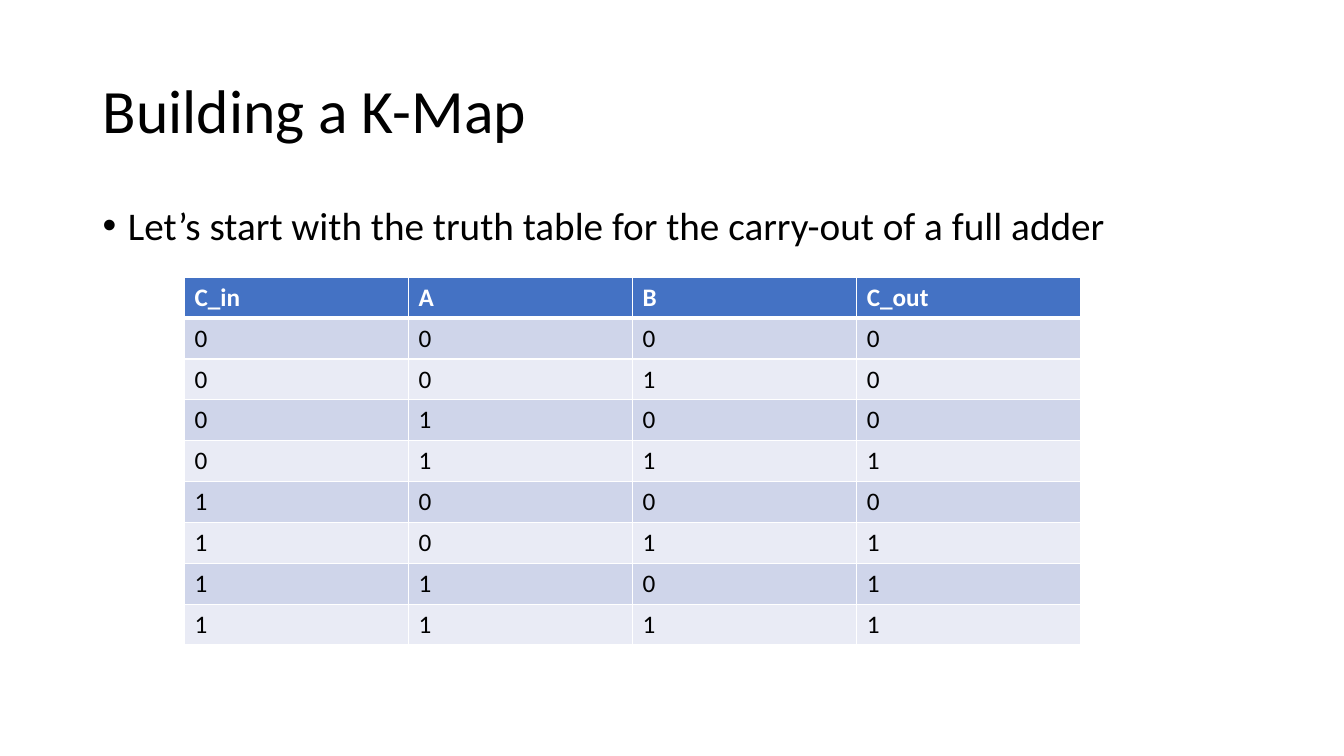
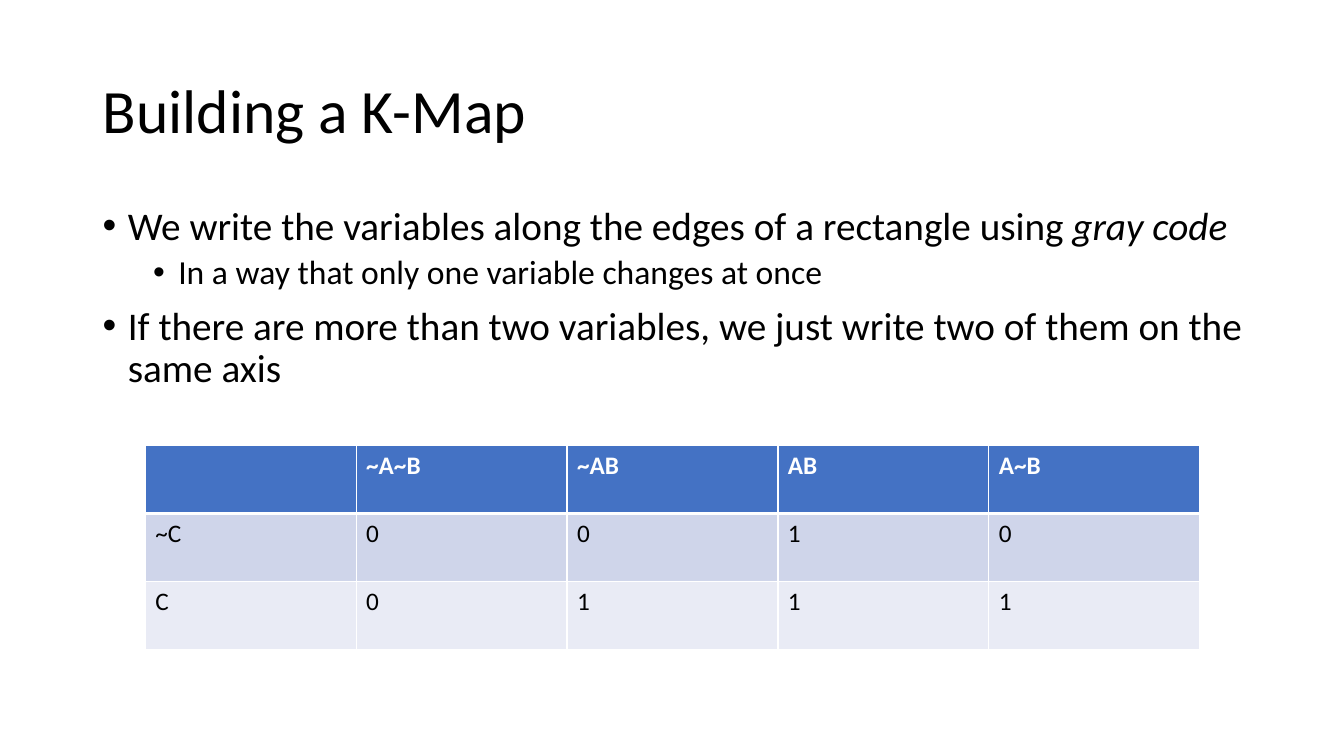
import pptx
import pptx.util
import pptx.oxml
import pptx.oxml.ns
import pptx.dml.color
import pptx.enum.text
from dataclasses import dataclass

# ---- Content ----
TITLE = "Building a K-Map"
SLIDES = [
    {
        # each bullet: level, then (text, italic) spans
        "bullets": [
            (0, [("Let’s start with the truth table for the carry-out of a full adder", False)]),
        ],
        "table": [
            ["C_in", "A", "B", "C_out"],
            *map(list, ["0000", "0010", "0100", "0111", "1000", "1011", "1101", "1111"]),
        ],
        "table_area": (1.83, 2.75, 8.89, 3.65),
    },
    {
        "bullets": [
            (0, [("We write the variables along the edges of a rectangle using ", False),
                 ("gray code", True)]),
            (1, [("In a way that only one variable changes at once", False)]),
            (0, [("If there are more than two variables, we just write two of them "
                  "on the same axis", False)]),
        ],
        "table": [
            ["", "~A~B", "~AB", "AB", "A~B"],
            ["~C", "0", "0", "1", "0"],
            ["C", "0", "1", "1", "1"],
        ],
        "table_area": (1.44, 4.42, 10.46, 2.02),
    },
]

# ---- Shared look and layout ----
SLIDE_SIZE = (13.33, 7.5)
TITLE_AREA = (0.92, 0.4, 11.5, 1.45)
BODY_AREA = (0.92, 2, 11.5, 4.76)


@dataclass(frozen=True)
class Theme:
    font: str = "Calibri"
    text: str = "000000"
    paper: str = "FFFFFF"
    header: str = "4472C4"
    bands: tuple = ("CFD5EA", "E9EBF5")
    title_size: int = 44
    bullet_sizes: tuple = (28, 24)
    bullet_gaps: tuple = (10, 5)
    bullet_indents: tuple = (0.25, 0.75)
    hanging: float = 0.25
    line_spacing: float = 0.9
    cell_size: int = 18
    thin: int = 1
    thick: int = 3


THEME = Theme()


def inches(lengths):
    return [pptx.util.Inches(length) for length in lengths]


def rgb(colour):
    return pptx.dml.color.RGBColor.from_string(colour)


def add_span(para, text, size, colour=THEME.text, **extra):
    span = para.add_run()
    span.text = text
    span.font.color.rgb = rgb(colour)
    formats = {"name": THEME.font, "size": pptx.util.Pt(size), **extra}
    for name, value in formats.items():
        setattr(span.font, name, value)


def add_text_box(page, area, anchor):
    frame = page.shapes.add_textbox(*inches(area)).text_frame
    frame.word_wrap = True
    frame.vertical_anchor = anchor
    return frame


def add_title(page):
    frame = add_text_box(page, TITLE_AREA, pptx.enum.text.MSO_ANCHOR.MIDDLE)
    para = frame.paragraphs[0]
    para.line_spacing = THEME.line_spacing
    add_span(para, TITLE, THEME.title_size)


def add_bullets(page, bullets):
    frame = add_text_box(page, BODY_AREA, pptx.enum.text.MSO_ANCHOR.TOP)
    for index, (level, spans) in enumerate(bullets):
        para = frame.add_paragraph() if index else frame.paragraphs[0]
        formats = {
            "level": level,
            "line_spacing": THEME.line_spacing,
            "space_before": pptx.util.Pt(THEME.bullet_gaps[level]),
        }
        for name, value in formats.items():
            setattr(para, name, value)
        for text, italic in spans:
            add_span(para, text, THEME.bullet_sizes[level], italic=italic)
        # Bullet character and hanging indent
        props = para._p.get_or_add_pPr()
        props.set("marL", str(pptx.util.Inches(THEME.bullet_indents[level])))
        props.set("indent", str(-pptx.util.Inches(THEME.hanging)))
        for tag, key, value in (("buFont", "typeface", "Arial"), ("buChar", "char", "•")):
            props.append(pptx.oxml.parse_xml(
                f'<a:{tag} {pptx.oxml.ns.nsdecls("a")} {key}="{value}"/>'))


def add_borders(cell, row):
    widths = {
        "lnL": THEME.thin,
        "lnR": THEME.thin,
        "lnT": THEME.thick if row == 1 else THEME.thin,
        "lnB": THEME.thick if row == 0 else THEME.thin,
    }
    props = cell._tc.get_or_add_tcPr()
    for tag, width in widths.items():
        props.append(pptx.oxml.parse_xml(
            f'<a:{tag} {pptx.oxml.ns.nsdecls("a")} w="{pptx.util.Pt(width)}">'
            f'<a:solidFill><a:srgbClr val="{THEME.paper}"/></a:solidFill></a:{tag}>'))


def add_grid(page, rows, area):
    left, top, width, height = inches(area)
    row_count, column_count = len(rows), len(rows[0])
    table = page.shapes.add_table(row_count, column_count, left, top, width, height).table
    table.horz_banding = False
    for column in table.columns:
        column.width = width // column_count
    for row in table.rows:
        row.height = height // row_count
    for row, texts in enumerate(rows):
        is_header = row == 0
        for column, text in enumerate(texts):
            cell = table.cell(row, column)
            add_borders(cell, row)
            cell.fill.solid()
            cell.fill.fore_color.rgb = rgb(
                THEME.header if is_header else THEME.bands[(row - 1) % 2])
            if text:
                add_span(cell.text_frame.paragraphs[0], text, THEME.cell_size,
                         THEME.paper if is_header else THEME.text, bold=is_header)


def main():
    deck = pptx.Presentation()
    deck.slide_width, deck.slide_height = inches(SLIDE_SIZE)
    blank = deck.slide_layouts[6]
    for content in SLIDES:
        page = deck.slides.add_slide(blank)
        add_title(page)
        add_bullets(page, content["bullets"])
        add_grid(page, content["table"], content["table_area"])
    deck.save("out.pptx")


if __name__ == "__main__":
    main()
